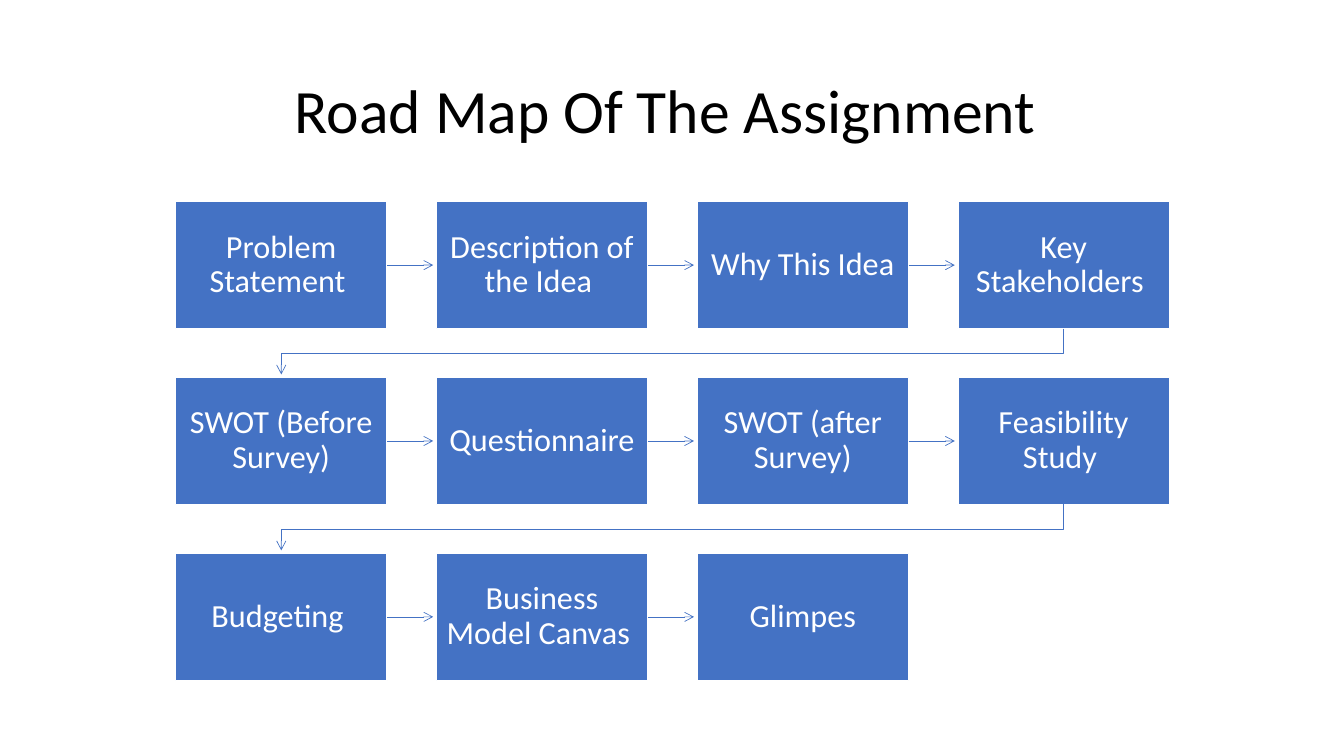
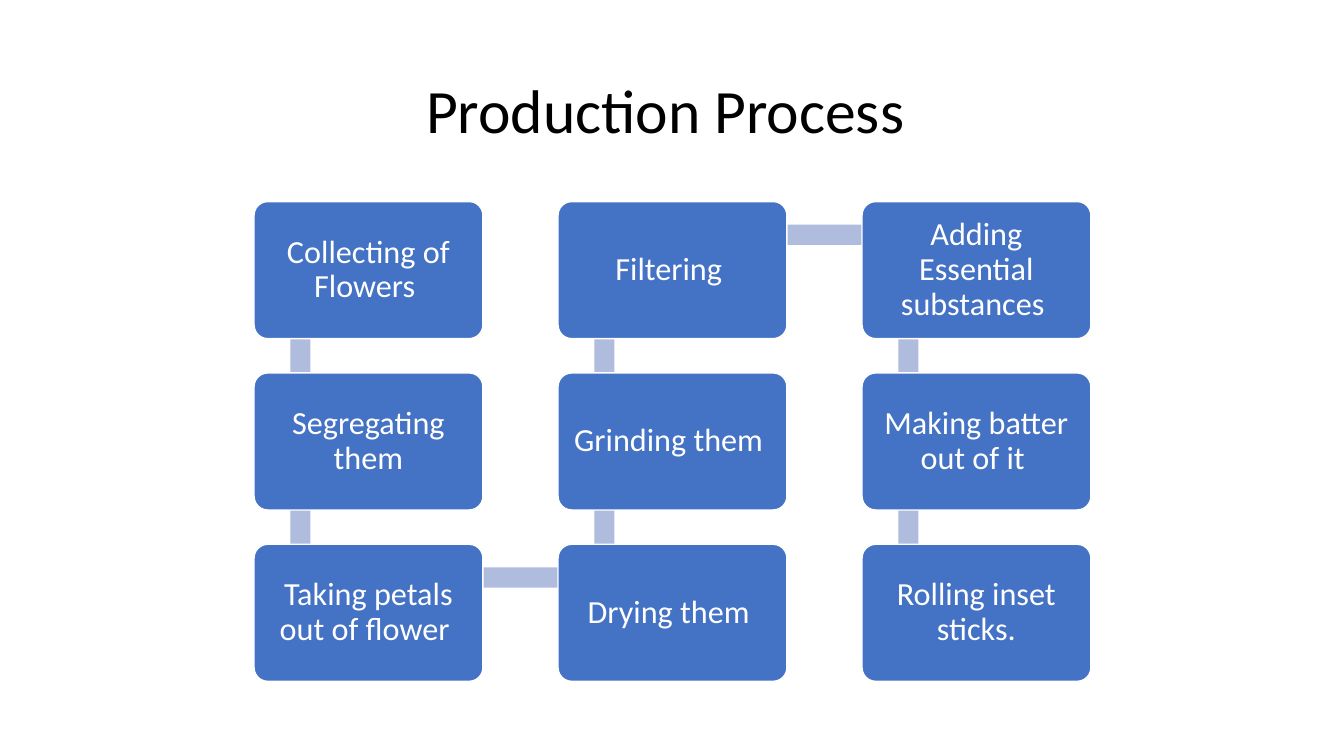
import pptx
import pptx.util
import pptx.dml.color
import pptx.enum.shapes
import pptx.enum.text
import pptx.oxml
import pptx.oxml.ns

Inches = pptx.util.Inches
Pt = pptx.util.Pt
SHAPES = pptx.enum.shapes.MSO_SHAPE

COLORS = {"step": "4472C4", "bar": "B0BCDE", "light": "FFFFFF", "title": "000000"}
FONT = "Calibri"
ARROW_GAP = Inches(0.03)
BAR_WIDTH = Inches(0.2)
# Bars run between points set in from each step's top left corner
BAR_INSET_X, BAR_INSET_Y = Inches(0.46), Inches(0.33)

ROAD_MAP = [
    "Problem Statement ", "Description of the Idea ", "Why This Idea",
    "Key Stakeholders ", "SWOT (Before Survey)", "Questionnaire",
    "SWOT (after Survey)", "Feasibility Study ", "Budgeting ",
    "Business Model Canvas ", "Glimpes",
]
PRODUCTION = [
    "Collecting of Flowers ", "Segregating them", "Taking petals out of flower ",
    "Drying them ", "Grinding them ", "Filtering ",
    "Adding Essential substances ", "Making batter out of it ",
    "Rolling inset sticks.",
]


def color(name):
    return pptx.dml.color.RGBColor.from_string(COLORS[name])


def write_text(frame, text, size, color_name):
    """Centre one paragraph of text in a frame."""
    frame.word_wrap = True
    frame.auto_size = pptx.enum.text.MSO_AUTO_SIZE.NONE
    frame.vertical_anchor = pptx.enum.text.MSO_ANCHOR.MIDDLE
    paragraph = frame.paragraphs[0]
    paragraph.alignment = pptx.enum.text.PP_ALIGN.CENTER
    paragraph.line_spacing = 0.9
    run = paragraph.add_run()
    run.text = text
    run.font.name = FONT
    run.font.size = Pt(size)
    run.font.color.rgb = color(color_name)


def add_titled_slide(deck, heading):
    slide = deck.slides.add_slide(deck.slide_layouts[5])
    title = slide.shapes.title
    title.left, title.top = Inches(0.92), Inches(0.4)
    title.width, title.height = Inches(11.5), Inches(1.45)
    write_text(title.text_frame, heading, 44, "title")
    return slide


def spread(start, end, size, count):
    """Return equally spaced starts of items that fill start to end."""
    pitch = (end - start - size) / (count - 1)
    return [Inches(start + i * pitch) for i in range(count)]


def add_step(slide, kind, left, top, width, height, text):
    step = slide.shapes.add_shape(kind, left, top, width, height)
    step.shadow.inherit = False
    step.fill.solid()
    step.fill.fore_color.rgb = color("step")
    step.line.color.rgb = color("light")
    step.line.width = Pt(1)
    if kind == SHAPES.ROUNDED_RECTANGLE:
        step.adjustments[0] = 0.1
    frame = step.text_frame
    frame.margin_left = frame.margin_right = Inches(0.1)
    frame.margin_top = frame.margin_bottom = Inches(0.1)
    write_text(frame, text, 23, "light")
    return step


def style_arrow(arrow):
    """Thin line with an open head at its end and no shadow."""
    arrow.line.color.rgb = color("step")
    arrow.line.width = Pt(0.5)
    properties = arrow._element.spPr
    outline = properties.find(pptx.oxml.ns.qn("a:ln"))
    head = pptx.oxml.parse_xml(
        f'<a:tailEnd {pptx.oxml.ns.nsdecls("a")} type="arrow"/>')
    outline.append(head)
    if properties.find(pptx.oxml.ns.qn("a:effectLst")) is None:
        properties.append(pptx.oxml.parse_xml(
            f'<a:effectLst {pptx.oxml.ns.nsdecls("a")}/>'))


def add_row_arrow(slide, step, following):
    middle = step.top + step.height // 2
    arrow = slide.shapes.add_connector(
        pptx.enum.shapes.MSO_CONNECTOR.STRAIGHT,
        step.left + step.width, middle, following.left - ARROW_GAP, middle)
    arrow.begin_connect(step, 3)
    style_arrow(arrow)


def add_return_arrow(slide, step, following):
    """Lead from the end of one row to the start of the next."""
    start_x = step.left + step.width // 2
    end_x = following.left + following.width // 2
    bottom = step.top + step.height
    bend = (bottom + following.top) // 2
    outline = slide.shapes.build_freeform(start_x, bottom)
    outline.add_line_segments(
        [(start_x, bend), (end_x, bend), (end_x, following.top - ARROW_GAP)],
        close=False)
    arrow = outline.convert_to_shape()
    arrow.fill.background()
    style_arrow(arrow)


def add_bar(slide, start, end):
    """Join two points with a vertical or horizontal bar."""
    (x1, y1), (x2, y2) = start, end
    left, top = min(x1, x2), min(y1, y2)
    if x1 == x2:
        box = (left - BAR_WIDTH // 2, top, BAR_WIDTH, abs(y2 - y1))
    else:
        box = (left, top - BAR_WIDTH // 2, abs(x2 - x1), BAR_WIDTH)
    bar = slide.shapes.add_shape(SHAPES.RECTANGLE, *box)
    bar.shadow.inherit = False
    bar.fill.solid()
    bar.fill.fore_color.rgb = color("bar")
    bar.line.fill.background()


def build_road_map(deck):
    slide = add_titled_slide(deck, "Road Map Of The Assignment ")
    width, height = 2.1, 1.26
    lefts = spread(1.74, 11.6, width, 4)
    tops = spread(2, 6.75, height, 3)
    places = [(left, top) for top in tops for left in lefts]
    steps = [
        add_step(slide, SHAPES.RECTANGLE, left, top, Inches(width), Inches(height), text)
        for (left, top), text in zip(places, ROAD_MAP)
    ]
    for step, following in zip(steps, steps[1:]):
        same_row = step.top == following.top
        add_arrow = add_row_arrow if same_row else add_return_arrow
        add_arrow(slide, step, following)


def build_production(deck):
    slide = add_titled_slide(deck, "Production Process ")
    width, height = 2.27, 1.36
    lefts = spread(2.52, 10.82, width, 3)
    tops = spread(2, 6.76, height, 3)
    # The steps run down, up and down again
    places = [(left, top) for column, left in enumerate(lefts)
              for top in (tops[::-1] if column % 2 else tops)]
    joints = [(left + BAR_INSET_X, top + BAR_INSET_Y) for left, top in places]
    for start, end in zip(joints, joints[1:]):
        add_bar(slide, start, end)
    for (left, top), text in zip(places, PRODUCTION):
        add_step(slide, SHAPES.ROUNDED_RECTANGLE, left, top,
                 Inches(width), Inches(height), text)


def main():
    deck = pptx.Presentation()
    deck.slide_width, deck.slide_height = Inches(13.33), Inches(7.5)
    build_road_map(deck)
    build_production(deck)
    deck.save("out.pptx")


if __name__ == "__main__":
    main()
